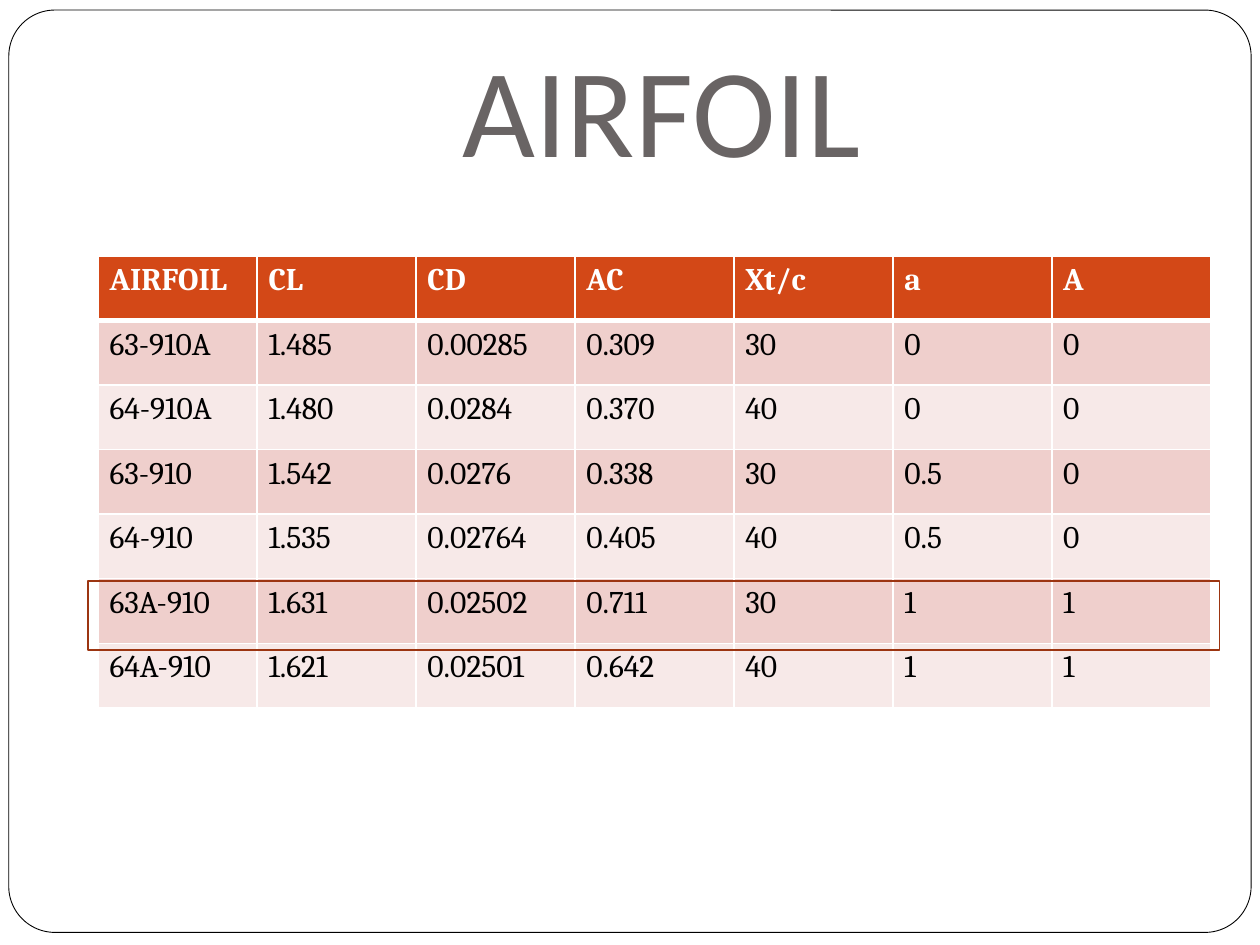
from dataclasses import dataclass

from lxml.etree import SubElement as Sub
from pptx import Presentation
from pptx.dml.color import RGBColor as Rgb
from pptx.enum.shapes import MSO_SHAPE as Shape
from pptx.enum.text import MSO_ANCHOR as Anchor, PP_ALIGN as Align
from pptx.oxml.ns import qn
from pptx.util import Inches, Pt


@dataclass(frozen=True)
class Theme:
    white: str = "FFFFFF"
    black: str = "000000"
    title: str = "696464"
    head: str = "D34817"
    odd: str = "EFCFCC"
    even: str = "F7E9E8"
    mark: str = "9C3511"
    title_font: str = "Calibri"
    body_font: str = "Cambria"
    title_size: int = 72
    body_size: int = 18


THEME = Theme()

ROWS = [
    ("AIRFOIL", "CL", "CD", "AC", "Xt/c", "a", "A"),
    ("63-910A", "1.485", "0.00285", "0.309", "30", "0", "0"),
    ("64-910A", "1.480", "0.0284", "0.370", "40", "0", "0"),
    ("63-910", "1.542", "0.0276", "0.338", "30", "0.5", "0"),
    ("64-910", "1.535", "0.02764", "0.405", "40", "0.5", "0"),
    ("63A-910", "1.631", "0.02502", "0.711", "30", "1", "1"),
    ("64A-910", "1.621", "0.02501", "0.642", "40", "1", "1"),
]


def add_run(para, text, font, size, color, bold=False):
    run = para.add_run()
    run.text = text
    run.font.name = font
    run.font.size = Pt(size)
    run.font.bold = bold
    run.font.color.rgb = Rgb.from_string(color)


def add_box(slide, box, kind, line, width, fill=None):
    shape = slide.shapes.add_shape(kind, *map(Inches, box))
    shape.shadow.inherit = False
    if fill:
        shape.fill.solid()
        shape.fill.fore_color.rgb = Rgb.from_string(fill)
    else:
        shape.fill.background()
    shape.line.color.rgb = Rgb.from_string(line)
    shape.line.width = Pt(width)
    return shape


def add_frame(slide, box):
    frame = add_box(slide, box, Shape.ROUNDED_RECTANGLE,
                    THEME.black, 0.5, THEME.white)
    frame.adjustments[0] = 0.05


def add_title(slide, box, text):
    frame = slide.shapes.add_textbox(*map(Inches, box)).text_frame
    frame.word_wrap = True
    frame.vertical_anchor = Anchor.BOTTOM
    frame.margin_bottom = Inches(0.1)
    para = frame.paragraphs[0]
    para.alignment = Align.CENTER
    add_run(para, text, THEME.title_font, THEME.title_size, THEME.title)


def set_edges(cell, top, bottom):
    props = cell._tc.get_or_add_tcPr()
    widths = {"a:lnL": 1, "a:lnR": 1, "a:lnT": top, "a:lnB": bottom}
    edges = []
    for tag, width in widths.items():
        edge = Sub(props, qn(tag), w=str(Pt(width)))
        fill = Sub(edge, qn("a:solidFill"))
        Sub(fill, qn("a:srgbClr"), val=THEME.white)
        edges.append(edge)
    # Borders come before the fill in the cell properties
    for spot, edge in enumerate(edges):
        props.insert(spot, edge)


def add_grid(slide, box, rows):
    shape = slide.shapes.add_table(len(rows), len(rows[0]), *map(Inches, box))
    table = shape.table
    for col in table.columns:
        col.width = Inches(box[2] / len(rows[0]))
    for i, row in enumerate(rows):
        table.rows[i].height = Inches(box[3] / len(rows))
        head = i == 0
        fill = THEME.head if head else THEME.odd if i % 2 else THEME.even
        color = THEME.white if head else THEME.black
        for j, text in enumerate(row):
            cell = table.cell(i, j)
            cell.fill.solid()
            cell.fill.fore_color.rgb = Rgb.from_string(fill)
            cell.margin_left = cell.margin_right = Inches(0.09)
            set_edges(cell, 3 if i == 1 else 1, 3 if head else 1)
            add_run(cell.text_frame.paragraphs[0], text, THEME.body_font,
                    THEME.body_size, color, head)


def main():
    deck = Presentation()
    deck.slide_width, deck.slide_height = Inches(10), Inches(7.5)
    slide = deck.slides.add_slide(deck.slide_layouts[6])

    # Page frame and title
    add_frame(slide, (0.07, 0.08, 9.86, 7.32))
    add_title(slide, (1, 0.3, 8.5, 1.25), "AIRFOIL")

    # Airfoil data, with the chosen row outlined
    add_grid(slide, (0.78, 2.03, 8.83, 3.59), ROWS)
    add_box(slide, (0.7, 4.61, 8.98, 0.55), Shape.RECTANGLE, THEME.mark, 1)

    deck.save("out.pptx")


if __name__ == "__main__":
    main()
